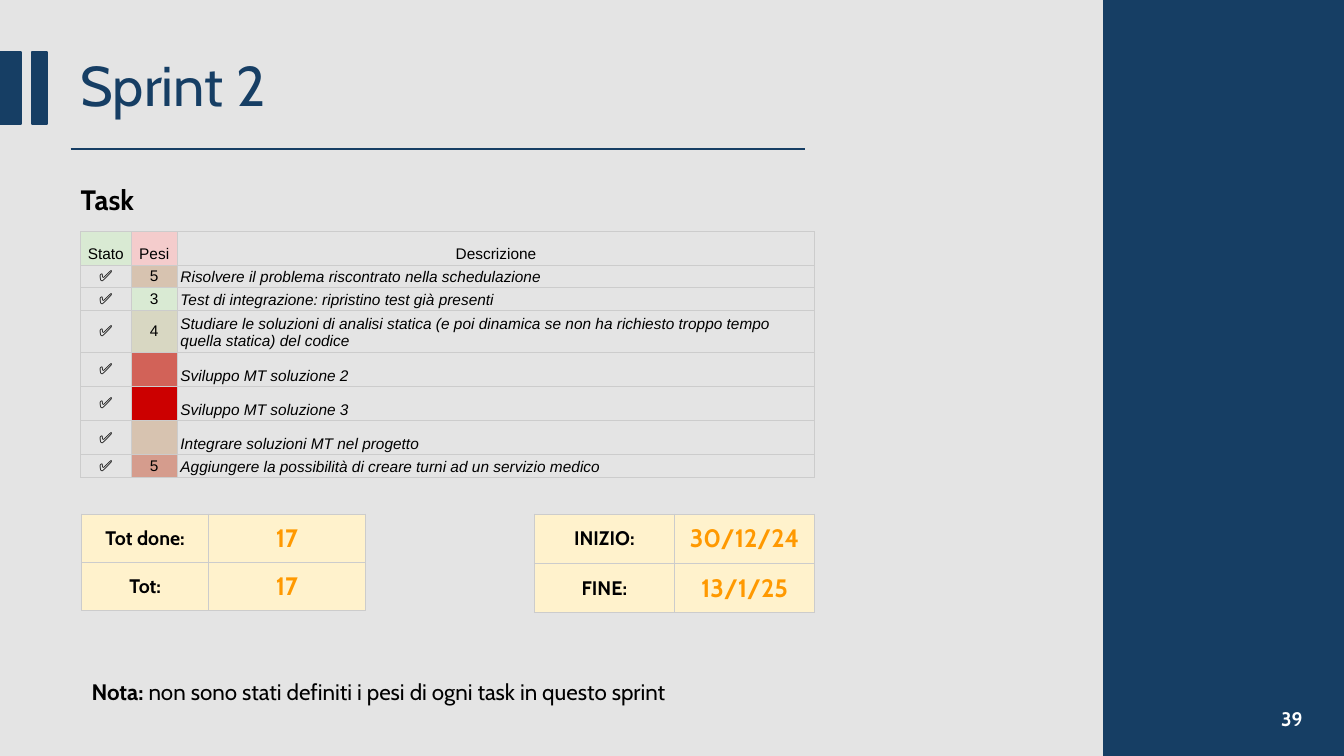
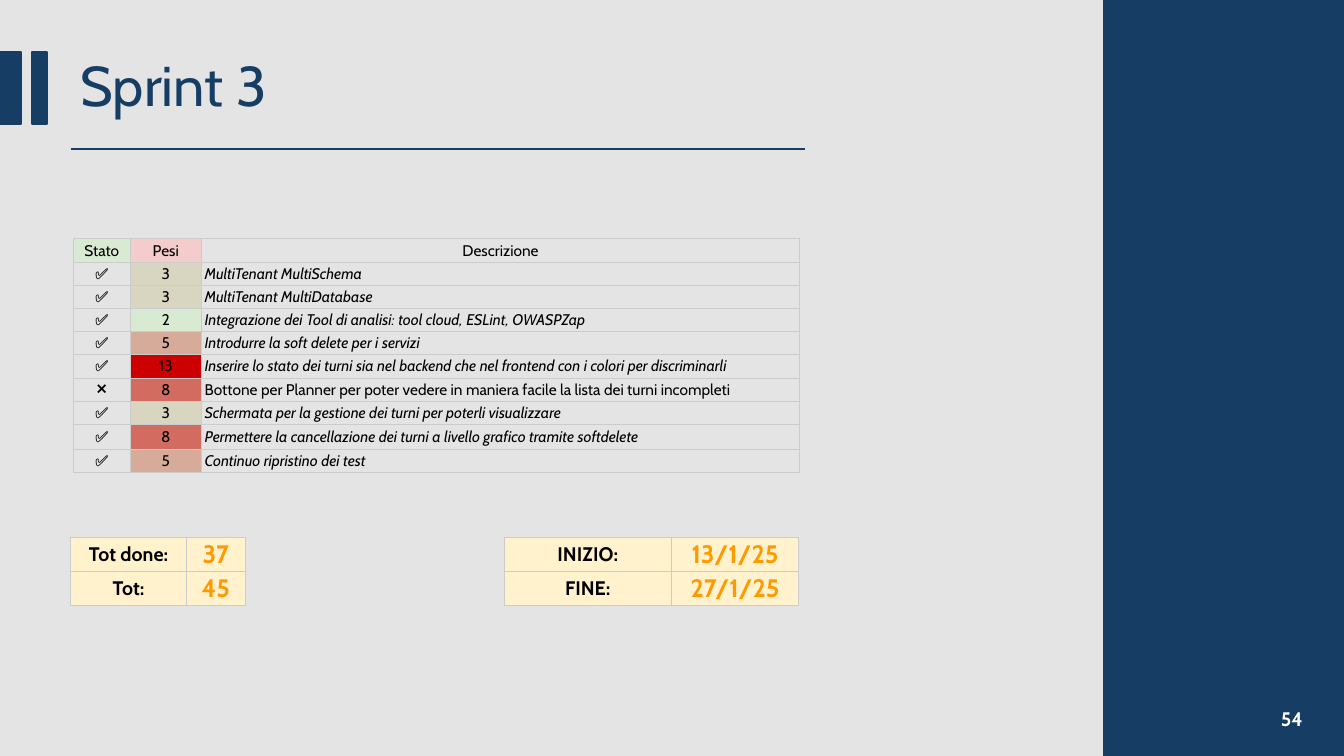
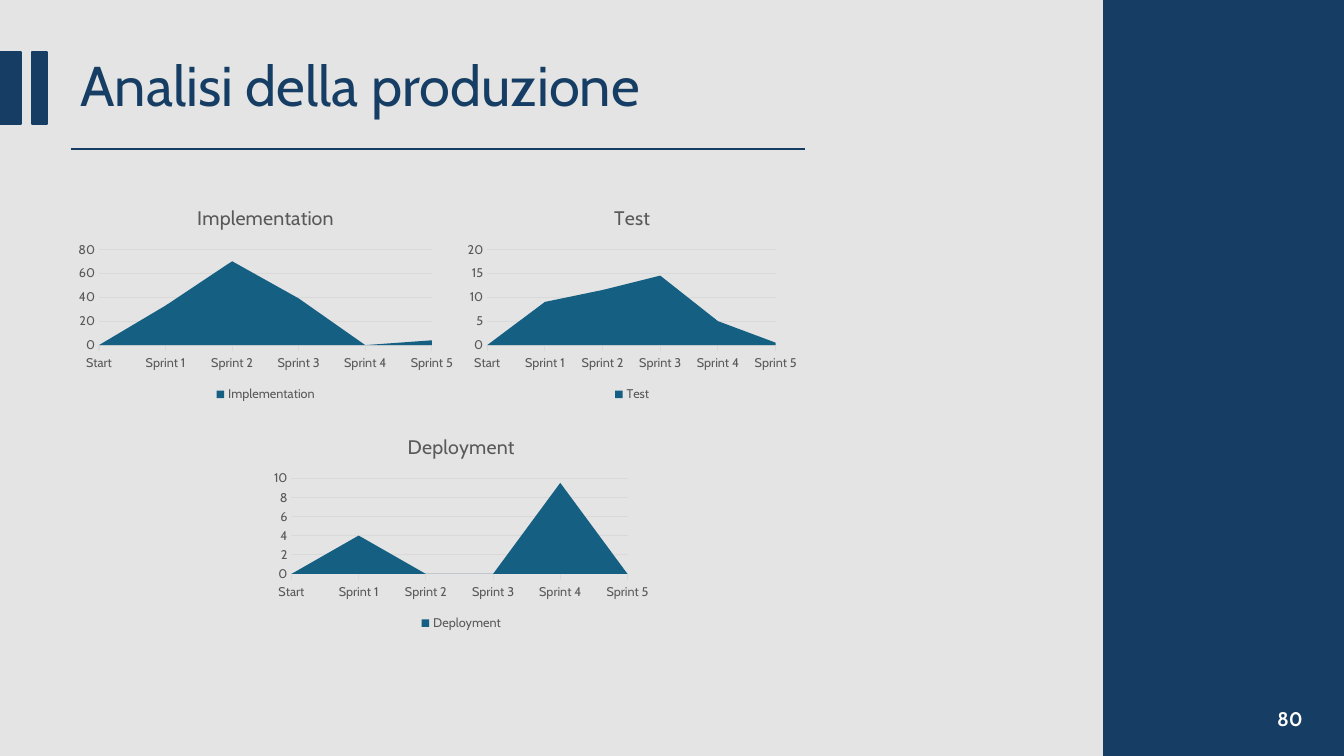
from lxml.etree import SubElement
from pptx import Presentation
from pptx.chart.data import CategoryChartData
from pptx.dml.color import RGBColor
from pptx.enum.chart import XL_CHART_TYPE as ChartType, XL_LEGEND_POSITION as LegendPosition, XL_TICK_MARK as Tick
from pptx.enum.shapes import MSO_CONNECTOR as Connector, MSO_SHAPE as Shape
from pptx.enum.text import MSO_ANCHOR as Anchor, PP_ALIGN as Align
from pptx.oxml import parse_xml
from pptx.oxml.ns import nsdecls, qn
from pptx.util import Inches, Pt

COLORS = {
    "background": "E4E4E4",
    "navy": "163E64",
    "white": "FFFFFF",
    "black": "000000",
    "border": "CCCCCC",
    "status": "D9EAD3",
    "weight": "F4CCCC",
    "total": "FFF2CC",
    "orange": "FF9900",
    "gray": "595959",
    "grid": "D9D9D9",
    "area": "156082",
}
FONT = "Cabin"
STAGES = ["Start", "Sprint 1", "Sprint 2", "Sprint 3", "Sprint 4", "Sprint 5"]
DONE, MISSED = "✅", "❌"


def rgb(color):
    return RGBColor.from_string(COLORS.get(color, color))


def style_font(font, size, color="black", bold=False, italic=False, name=FONT):
    font.name = name
    font.size = Pt(size)
    font.bold = bold
    font.italic = italic
    font.color.rgb = rgb(color)


def add_text(slide, box, runs, size, color="black", align=Align.LEFT, anchor=Anchor.TOP):
    frame = slide.shapes.add_textbox(*map(Inches, box)).text_frame
    frame.word_wrap = True
    frame.vertical_anchor = anchor
    paragraph = frame.paragraphs[0]
    paragraph.alignment = align
    style_font(paragraph.font, size, color)
    for text, bold in runs:
        run = paragraph.add_run()
        run.text = text
        run.font.bold = bold
    return paragraph


def add_block(slide, box):
    block = slide.shapes.add_shape(Shape.RECTANGLE, *map(Inches, box))
    block.shadow.inherit = False
    block.fill.solid()
    block.fill.fore_color.rgb = rgb("navy")
    block.line.color.rgb = rgb("navy")
    block.line.width = Pt(1.5)


def add_base_slide(prs, title, number):
    slide = prs.slides.add_slide(prs.slide_layouts[6])
    slide.background.fill.solid()
    slide.background.fill.fore_color.rgb = rgb("background")
    heading = add_text(slide, (0.7, 0.52, 8.42, 0.71), [(title, False)], 40, "navy", anchor=Anchor.MIDDLE)
    heading.line_spacing = 0.9
    for box in ((0, 0.52, 0.21, 0.71), (0.32, 0.52, 0.15, 0.71), (10.95, 0, 2.38, 7.5)):
        add_block(slide, box)
    rule = slide.shapes.add_connector(Connector.STRAIGHT, *map(Inches, (0.7, 1.48, 7.98, 1.48)))
    rule.line.color.rgb = rgb("navy")
    rule.line.width = Pt(1.5)
    SubElement(rule._element.spPr, qn("a:effectLst"))
    add_text(slide, (10.02, 6.93, 3, 0.4), [(number, True)], 14, "white", Align.RIGHT, Anchor.MIDDLE)
    return slide


def add_grid(slide, left, top, widths, heights):
    table = slide.shapes.add_table(
        len(heights), len(widths), Inches(left), Inches(top), Inches(sum(widths)), Inches(sum(heights))
    ).table
    table.first_row = table.horz_banding = False
    for column, width in zip(table.columns, widths):
        column.width = Inches(width)
    for row, height in zip(table.rows, heights):
        row.height = Inches(height)
    return table


def fill_cell(cell, text, size, fill=None, align=Align.CENTER, anchor=Anchor.MIDDLE, **font):
    cell.margin_left = cell.margin_right = Inches(0.03)
    cell.margin_top = cell.margin_bottom = Inches(0.02)
    cell.vertical_anchor = anchor
    if fill:
        cell.fill.solid()
        cell.fill.fore_color.rgb = rgb(fill)
    else:
        cell.fill.background()
    for index, side in enumerate("LRTB"):
        border = parse_xml(
            f'<a:ln{side} {nsdecls("a")} w="9525"><a:solidFill>'
            f'<a:srgbClr val="{COLORS["border"]}"/></a:solidFill></a:ln{side}>'
        )
        cell._tc.get_or_add_tcPr().insert(index, border)
    paragraph = cell.text_frame.paragraphs[0]
    paragraph.alignment = align
    style_font(paragraph.font, size, **font)
    if text:
        paragraph.add_run().text = text


def add_tasks(slide, left, top, widths, heights, tasks, name=FONT, anchor=Anchor.MIDDLE):
    table = add_grid(slide, left, top, widths, heights)
    headers = (("Stato", "status"), ("Pesi", "weight"), ("Descrizione", None))
    for column, (header, fill) in enumerate(headers):
        fill_cell(table.cell(0, column), header, 11, fill, anchor=anchor, name=name)
    for row, (status, weight, fill, description) in enumerate(tasks, 1):
        fill_cell(table.cell(row, 0), status, 11, name="Arial")
        fill_cell(table.cell(row, 1), weight, 11, fill, name=name)
        fill_cell(table.cell(row, 2), description, 11, align=Align.LEFT, anchor=anchor,
                  italic=status == DONE, name=name)


def add_summary(slide, left, top, widths, row_height, entries):
    table = add_grid(slide, left, top, widths, [row_height] * len(entries))
    for row, (label, value) in enumerate(entries):
        fill_cell(table.cell(row, 0), label, 14, "total", bold=True)
        fill_cell(table.cell(row, 1), value, 18, "total", bold=True, color="orange")


def add_area_chart(slide, box, title, values, top_value, step):
    data = CategoryChartData()
    data.categories = STAGES
    data.add_series(title, values)
    chart = slide.shapes.add_chart(ChartType.AREA, *map(Inches, box), data).chart
    style_font(chart.font, 10)
    chart.has_title = True
    heading = chart.chart_title.text_frame.paragraphs[0]
    style_font(heading.font, 14, "gray")
    heading.add_run().text = title
    chart.has_legend = True
    chart.legend.position = LegendPosition.BOTTOM
    chart.legend.include_in_layout = False
    style_font(chart.legend.font, 9, "gray")
    series = chart.plots[0].series[0]
    series.format.fill.solid()
    series.format.fill.fore_color.rgb = rgb("area")
    stages, amounts = chart.category_axis, chart.value_axis
    for axis in (stages, amounts):
        style_font(axis.tick_labels.font, 9, "gray")
        axis.minor_tick_mark = Tick.NONE
    stages.has_major_gridlines = False
    stages.major_tick_mark = Tick.OUTSIDE
    amounts.major_tick_mark = Tick.NONE
    amounts.format.line.fill.background()
    amounts.minimum_scale = 0
    amounts.maximum_scale = top_value
    amounts.major_unit = step
    amounts.has_major_gridlines = True
    for line in (stages.format.line, amounts.major_gridlines.format.line):
        line.color.rgb = rgb("grid")
        line.width = Pt(0.75)


def build_sprint_2(prs):
    slide = add_base_slide(prs, "Sprint 2", "39")
    add_text(slide, (0.7, 1.76, 7.28, 0.44), [("Task", True)], 20)
    tasks = [
        (DONE, "5", "D7C3B0", "Risolvere il problema riscontrato nella schedulazione"),
        (DONE, "3", "D9EAD3", "Test di integrazione: ripristino test già presenti"),
        (DONE, "4", "D8D7C2", "Studiare le soluzioni di analisi statica (e poi dinamica se non ha richiesto "
                              "troppo tempo quella statica) del codice"),
        (DONE, "", "D26258", "Sviluppo MT soluzione 2"),
        (DONE, "", "CC0000", "Sviluppo MT soluzione 3"),
        (DONE, "", "D7C3B0", "Integrare soluzioni MT nel progetto"),
        (DONE, "5", "D59C8D", "Aggiungere la possibilità di creare turni ad un servizio medico"),
    ]
    heights = [0.33, 0.22, 0.23, 0.41, 0.34, 0.34, 0.34, 0.22]
    add_tasks(slide, 0.8, 2.3, (0.5, 0.46, 6.32), heights, tasks, "Arial", Anchor.BOTTOM)
    add_summary(slide, 5.3, 5.1, (1.39, 1.39), 0.49, [("INIZIO:", "30/12/24"), ("FINE:", "13/1/25")])
    add_summary(slide, 0.81, 5.1, (1.26, 1.55), 0.48, [("Tot done:", "17"), ("Tot:", "17")])
    note = [("Nota: ", True), ("non sono stati definiti i pesi di ogni task in questo sprint", False)]
    add_text(slide, (0.81, 6.68, 7.39, 0.37), note, 16)


def build_sprint_3(prs):
    slide = add_base_slide(prs, "Sprint 3", "54")
    tasks = [
        (DONE, "3", "D8D5C0", "MultiTenant MultiSchema"),
        (DONE, "3", "D8D5C0", "MultiTenant MultiDatabase"),
        (DONE, "2", "D9EAD3", "Integrazione dei Tool di analisi: tool cloud, ESLint, OWASPZap"),
        (DONE, "5", "D6AB9A", "Introdurre la soft delete per i servizi"),
        (DONE, "13", "CC0000", "Inserire lo stato dei turni sia nel backend che nel frontend "
                               "con i colori per discriminarli"),
        (MISSED, "8", "D26B60", "Bottone per Planner per poter vedere in maniera facile la lista dei turni incompleti"),
        (DONE, "3", "D8D5C0", "Schermata per la gestione dei turni per poterli visualizzare"),
        (DONE, "8", "D26B60", "Permettere la cancellazione dei turni a livello grafico tramite softdelete"),
        (DONE, "5", "D6AB9A", "Continuo ripristino dei test"),
    ]
    heights = [0.23] * 8 + [0.25, 0.23]
    add_tasks(slide, 0.73, 2.37, (0.56, 0.71, 5.93), heights, tasks)
    add_summary(slide, 0.7, 5.33, (1.15, 0.58), 0.34, [("Tot done:", "37"), ("Tot:", "45")])
    add_summary(slide, 5, 5.33, (1.66, 1.26), 0.34, [("INIZIO:", "13/1/25"), ("FINE:", "27/1/25")])


def build_production(prs):
    slide = add_base_slide(prs, "Analisi della produzione", "80")
    add_area_chart(slide, (4.57, 1.9, 3.4, 2.13), "Test", (None, 9, 11.5, 14.5, 5, 0.5), 20, 5)
    add_area_chart(slide, (0.7, 1.9, 3.87, 2.13), "Implementation", (None, 33, 70, 39, 0, 4), 80, 20)
    add_area_chart(slide, (2.64, 4.17, 3.87, 2.13), "Deployment", (None, 4, 0, 0, 9.5, 0), 10, 2)


def main():
    prs = Presentation()
    prs.slide_width, prs.slide_height = Inches(13.33), Inches(7.5)
    for build in (build_sprint_2, build_sprint_3, build_production):
        build(prs)
    prs.save("out.pptx")


if __name__ == "__main__":
    main()
